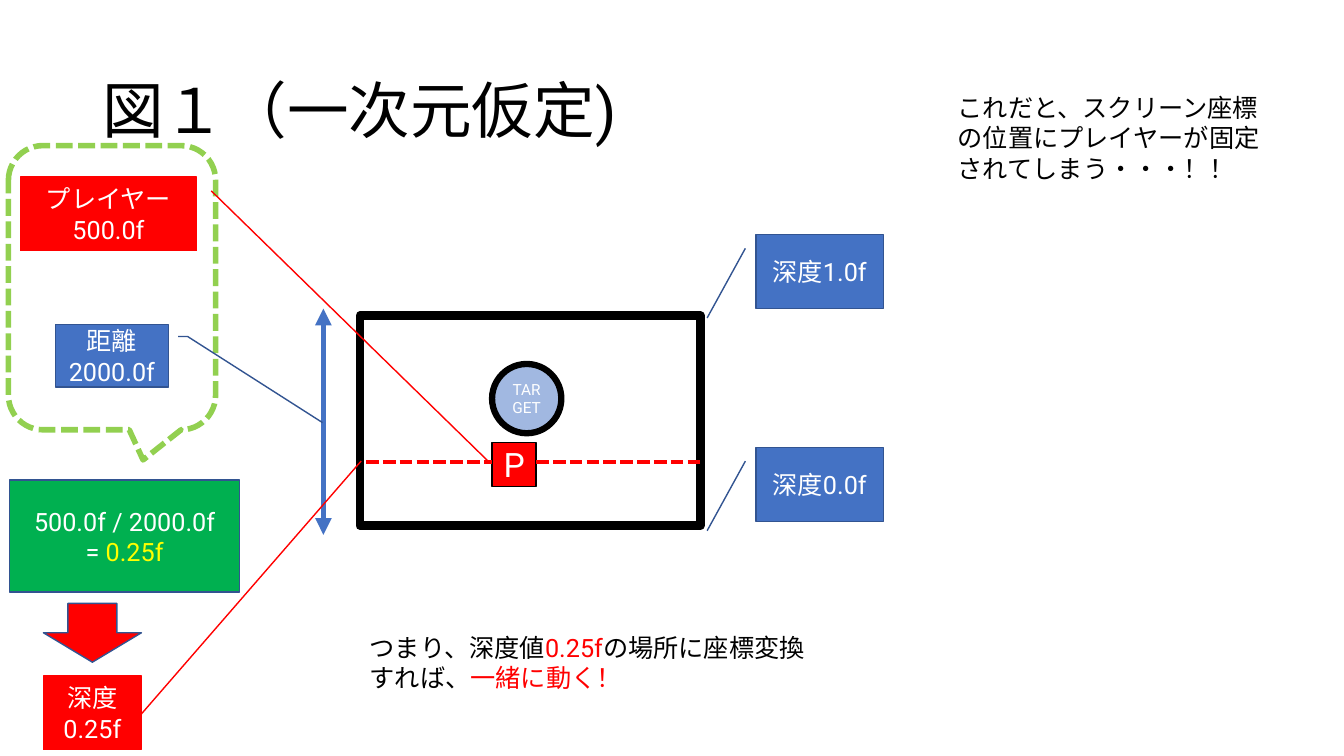
import pptx
import pptx.util
import pptx.dml.color
import pptx.enum.dml
import pptx.enum.shapes
import pptx.enum.text
import pptx.oxml.ns
import lxml.etree

Pt = pptx.util.Pt
qn = pptx.oxml.ns.qn
SHAPE = pptx.enum.shapes.MSO_SHAPE
ANCHOR = pptx.enum.text.MSO_ANCHOR
ALIGN = pptx.enum.text.PP_ALIGN
BLACK, WHITE, RED, BLUE, NAVY = "000000", "FFFFFF", "FF0000", "4472C4", "325491"
GREEN, LIME, YELLOW = "00B050", "92D050", "FFFF00"


def color(code):
    return pptx.dml.color.RGBColor.from_string(code)


def write(frame, paragraphs, size, ink, anchor, align, spacing=1.0):
    for name, value in {"word_wrap": True, "vertical_anchor": anchor}.items():
        setattr(frame, name, value)
    for index, pieces in enumerate(paragraphs):
        paragraph = frame.add_paragraph() if index else frame.paragraphs[0]
        for name, value in {"alignment": align, "line_spacing": spacing}.items():
            setattr(paragraph, name, value)
        for words, tint in pieces:
            if words == "\v":
                paragraph.add_line_break()
                continue
            run = paragraph.add_run()
            run.text = words
            for name, value in {"size": Pt(size), "name": "Roboto"}.items():
                setattr(run.font, name, value)
            run.font.color.rgb = color(tint or ink)
            lxml.etree.SubElement(run.font._element, qn("a:ea"), typeface="Roboto")


deck = pptx.Presentation()
for name, value in {"slide_width": Pt(960), "slide_height": Pt(540)}.items():
    setattr(deck, name, value)
slide = deck.slides.add_slide(deck.slide_layouts[6])

blocks = [
    (SHAPE.ROUNDED_RECTANGULAR_CALLOUT, (6, 104, 148, 203), None, LIME, 4, 18, [],
     {"adjust": (0.15, 0.606, 0.167), "dashed": True}),
    (SHAPE.RECTANGLE, (257, 225.5, 243.5, 150), None, BLACK, 6, 18, [], {}),
    (SHAPE.RECTANGLE, (351.5, 316, 31.5, 31.5), RED, BLACK, 1, 24, [[("P", None)]], {}),
    (SHAPE.LINE_CALLOUT_1, (540, 319.5, 91, 53), BLUE, NAVY, 1, 18, [[("深度0.0f", None)]], {}),
    (SHAPE.LINE_CALLOUT_1, (540, 167.5, 91, 53), BLUE, NAVY, 1, 18, [[("深度1.0f", None)]], {}),
    (SHAPE.OVAL, (351.5, 260, 49.5, 49.5), BLUE, BLACK, 4.5, 11,
     [[("TAR", None), ("\v", None), ("GET", None)]], {"alpha": 50}),
    ("line", (231, 220.5, 231, 382), None, BLUE, 4, 0, [], {"arrows": True}),
    (SHAPE.LINE_CALLOUT_2, (39.5, 232, 81, 44.5), BLUE, NAVY, 1, 18,
     [[("距離", None)], [("2000.0f", None)]],
     {"adjust": (0.188, -0.083, 0.188, -0.167, 1.571, -1.357), "flip": True}),
    (SHAPE.LINE_CALLOUT_1, (14.5, 126.5, 126, 52.5), RED, RED, 1, 18,
     [[("プレイヤー", None)], [("500.0f", None)]],
     {"adjust": (0.188, -0.083, 3.893, -1.664), "flip": True}),
    ("line", (383, 330, 500, 330), None, RED, 3, 0, [], {"dashed": True}),
    (SHAPE.LINE_CALLOUT_1, (31, 483, 70, 52.5), RED, RED, 1, 18, [[("深度0.25f", None)]],
     {"adjust": (-2.928, -2.244, 0.578, 0.041), "flip": True}),
    (SHAPE.RECTANGLE, (7, 343, 164, 80), GREEN, NAVY, 1, 18,
     [[("500.0f / 2000.0f", None)], [("= ", None), ("0.25f", YELLOW)]], {}),
    (SHAPE.DOWN_ARROW, (31, 431, 70, 42), RED, NAVY, 1, 18, [], {}),
    ("line", (261.5, 330, 351.5, 330), None, RED, 3, 0, [], {"dashed": True}),
]
for kind, place, fill, edge, weight, size, paragraphs, extras in blocks:
    lengths = [Pt(length) for length in place]
    if kind == "line":
        block = slide.shapes.add_connector(pptx.enum.shapes.MSO_CONNECTOR.STRAIGHT, *lengths)
        lxml.etree.SubElement(block._element.spPr, qn("a:effectLst"))
    else:
        block = slide.shapes.add_shape(kind, *lengths)
        block.shadow.inherit = False
        if fill:
            block.fill.solid()
            block.fill.fore_color.rgb = color(fill)
        else:
            block.fill.background()
        write(block.text_frame, paragraphs, size, WHITE, ANCHOR.MIDDLE, ALIGN.CENTER)
    block.line.color.rgb = color(edge)
    block.line.width = Pt(weight)
    for index, value in enumerate(extras.get("adjust", ())):
        block.adjustments[index] = value
    if "dashed" in extras:
        block.line.dash_style = pptx.enum.dml.MSO_LINE.SQUARE_DOT
        block.line._ln.find(qn("a:prstDash")).set("val", "sysDash")
    if "flip" in extras:
        block._element.spPr.xfrm.set("flipH", "1")
    if "alpha" in extras:
        tint = block._element.spPr.find(qn("a:solidFill")).find(qn("a:srgbClr"))
        lxml.etree.SubElement(tint, qn("a:alpha"), val=str(extras["alpha"] * 1000))
    if "arrows" in extras:
        for end in ("a:headEnd", "a:tailEnd"):
            lxml.etree.SubElement(block.line._ln, qn(end), type="triangle")

captions = [
    ((66, 29, 828, 104), 44, ANCHOR.MIDDLE, 0.9, [("図１（一次元仮定)", None)]),
    ((257, 448, 342, 51), 18, ANCHOR.TOP, 1.0,
     [("つまり、深度値", None), ("0.25f", RED), ("の場所に座標変換すれば、", None),
      ("一緒に動く！", RED)]),
    ((677, 62.5, 242.5, 73), 18, ANCHOR.TOP, 1.0,
     [("これだと、スクリーン座標の位置にプレイヤーが固定されてしまう・・・！！", None)]),
]
for place, size, anchor, spacing, pieces in captions:
    caption = slide.shapes.add_textbox(*[Pt(length) for length in place])
    write(caption.text_frame, [pieces], size, BLACK, anchor, ALIGN.LEFT, spacing)

deck.save("out.pptx")
